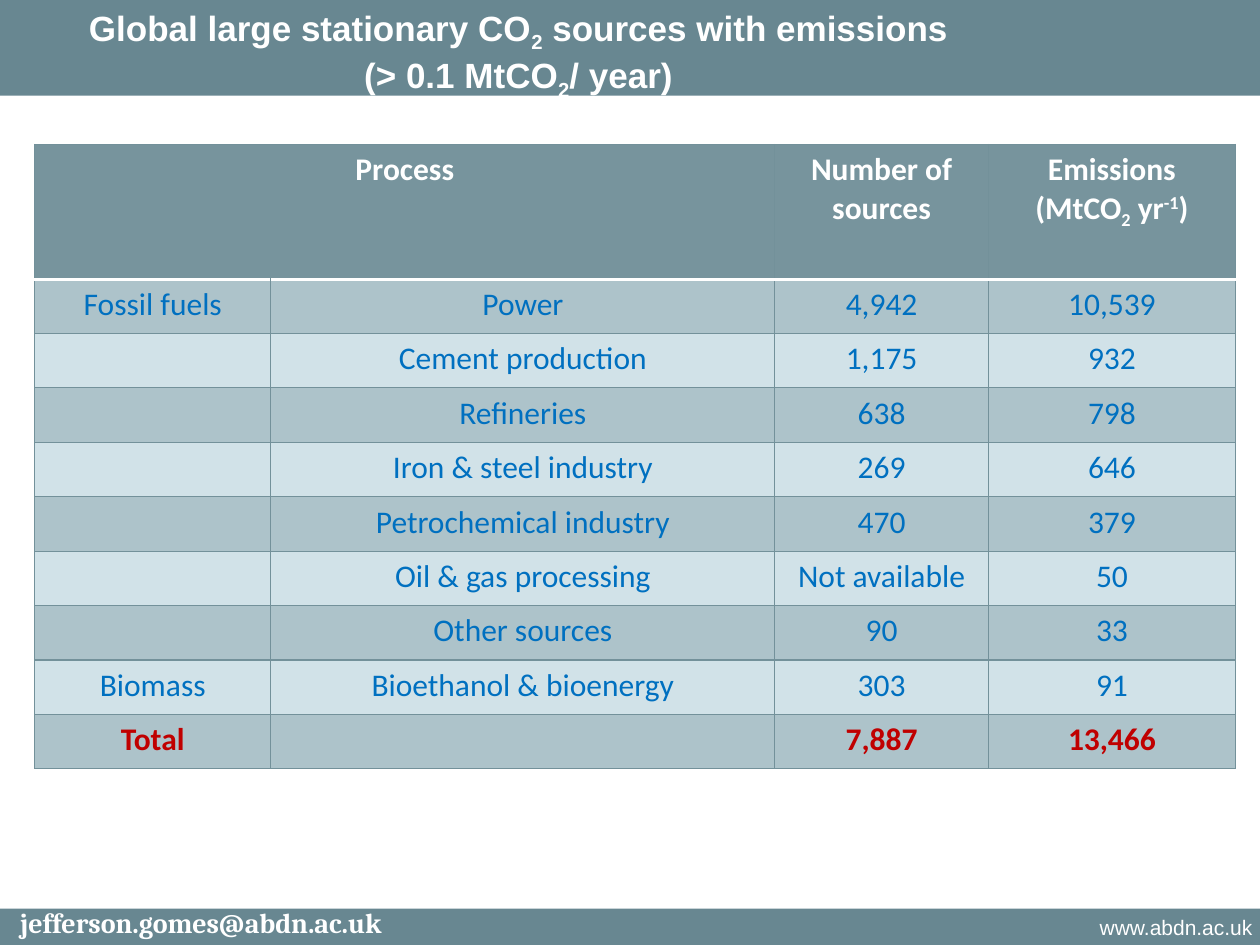
from dataclasses import dataclass

from lxml.etree import SubElement
from pptx import Presentation
from pptx.dml.color import RGBColor
from pptx.enum.shapes import MSO_SHAPE
from pptx.enum.text import PP_ALIGN
from pptx.oxml.ns import qn
from pptx.util import Pt

TITLE = [
    [("Global large stationary CO", 0), ("2", -25), (" sources with emissions", 0)],
    [("(> 0.1 MtCO", 0), ("2", -25), ("/ year)", 0)],
]
EMISSIONS_HEADING = [
    [("Emissions", 0)],
    [("(MtCO", 0), ("2", -25), (" yr", 0), ("-1", 30), (")", 0)],
]
EMAIL = "jefferson.gomes@abdn.ac.uk"
WEBSITE = "www.abdn.ac.uk"
ROWS = [
    ("Process", "", "Number of sources", EMISSIONS_HEADING),
    ("Fossil fuels", "Power", "4,942", "10,539"),
    ("", "Cement production", "1,175", "932"),
    ("", "Refineries", "638", "798"),
    ("", "Iron & steel industry", "269", "646"),
    ("", "Petrochemical industry", "470", "379"),
    ("", "Oil & gas processing", "Not available", "50"),
    ("", "Other sources", "90", "33"),
    ("Biomass", "Bioethanol & bioenergy", "303", "91"),
    ("Total", "", "7,887", "13,466"),
]
COLUMN_WIDTHS = [135, 288, 122, 141.3]
ROW_HEIGHTS = [77] + [31.1] * (len(ROWS) - 1)
BARS = [(0, 519.3, 720, 20.7), (0, 0, 720, 54.7)]


@dataclass(frozen=True)
class Theme:
    bar: str = "688791"
    header: str = "77949D"
    bands: tuple = ("D1E2E8", "ADC3CA")
    border: str = "73919A"
    white: str = "FFFFFF"
    body: str = "0070C0"
    total: str = "C00000"
    title_size: float = 20
    table_size: float = 18
    email_size: float = 16
    website_size: float = 12


THEME = Theme()


def write(frame, content, font, size, color, bold, align=PP_ALIGN.CENTER):
    """Fill a text frame with a string or with paragraphs of (text, baseline) runs."""
    lines = [[(content, 0)]] if isinstance(content, str) else content
    for index, line in enumerate(lines):
        para = frame.add_paragraph() if index else frame.paragraphs[0]
        para.alignment = align
        para.font.size = Pt(size)
        for text, baseline in line:
            span = para.add_run()
            span.text = text
            span.font.name = font
            span.font.size = Pt(size)
            span.font.bold = bold
            span.font.color.rgb = RGBColor.from_string(color)
            if baseline:
                span.font._element.set("baseline", str(baseline * 1000))


def add_text(page, bounds, *style):
    """Add a wrapping text box and return its frame."""
    frame = page.shapes.add_textbox(*map(Pt, bounds)).text_frame
    frame.word_wrap = True
    write(frame, *style)
    return frame


def add_bar(page, bounds):
    """Add a plain coloured band."""
    bar = page.shapes.add_shape(MSO_SHAPE.RECTANGLE, *map(Pt, bounds))
    bar.shadow.inherit = False
    bar.fill.solid()
    bar.fill.fore_color.rgb = RGBColor.from_string(THEME.bar)
    bar.line.fill.background()


def set_borders(cell, row):
    """Draw thin cell borders, with a thick white rule under the header."""
    properties = cell._tc.get_or_add_tcPr()
    for side in ("lnL", "lnR", "lnT", "lnB"):
        ruled = (row, side) in ((0, "lnB"), (1, "lnT"))
        color, width = (THEME.white, 2) if ruled else (THEME.border, 0.75)
        line = SubElement(properties, qn(f"a:{side}"), w=str(Pt(width)))
        SubElement(SubElement(line, qn("a:solidFill")), qn("a:srgbClr"), val=color)


def add_sources_table(page):
    """Add the table of emission sources."""
    bounds = (19.8, 82.5, sum(COLUMN_WIDTHS), sum(ROW_HEIGHTS))
    table = page.shapes.add_table(len(ROWS), len(COLUMN_WIDTHS), *map(Pt, bounds)).table
    table.horz_banding = False
    for column, width in zip(table.columns, COLUMN_WIDTHS):
        column.width = Pt(width)
    for row, height in zip(table.rows, ROW_HEIGHTS):
        row.height = Pt(height)
    table.cell(0, 0).merge(table.cell(0, 1))
    last = len(ROWS) - 1
    for row, values in enumerate(ROWS):
        fill = THEME.bands[row % 2] if row else THEME.header
        color = {0: THEME.white, last: THEME.total}.get(row, THEME.body)
        for column, value in enumerate(values):
            cell = table.cell(row, column)
            set_borders(cell, row)
            cell.fill.solid()
            cell.fill.fore_color.rgb = RGBColor.from_string(fill)
            if value:
                write(cell.text_frame, value, "Calibri", THEME.table_size, color, row in (0, last))


def main():
    """Build the slide and save it."""
    deck = Presentation()
    deck.slide_width, deck.slide_height = Pt(720), Pt(540)
    page = deck.slides.add_slide(deck.slide_layouts[6])
    for bounds in BARS:
        add_bar(page, bounds)
    add_text(page, (535.7, 519.3, 187.2, 26), WEBSITE, "Arial",
             THEME.website_size, THEME.white, False, PP_ALIGN.RIGHT)
    email = add_text(page, (0, 516.2, 229.7, 23.8), EMAIL, "Cambria",
                     THEME.email_size, THEME.white, True)
    email.paragraphs[0].line_spacing = 0.9
    add_sources_table(page)
    add_text(page, (0, 0, 592.6, 55.4), TITLE, "Arial",
             THEME.title_size, THEME.white, True)
    deck.save("out.pptx")


if __name__ == "__main__":
    main()
